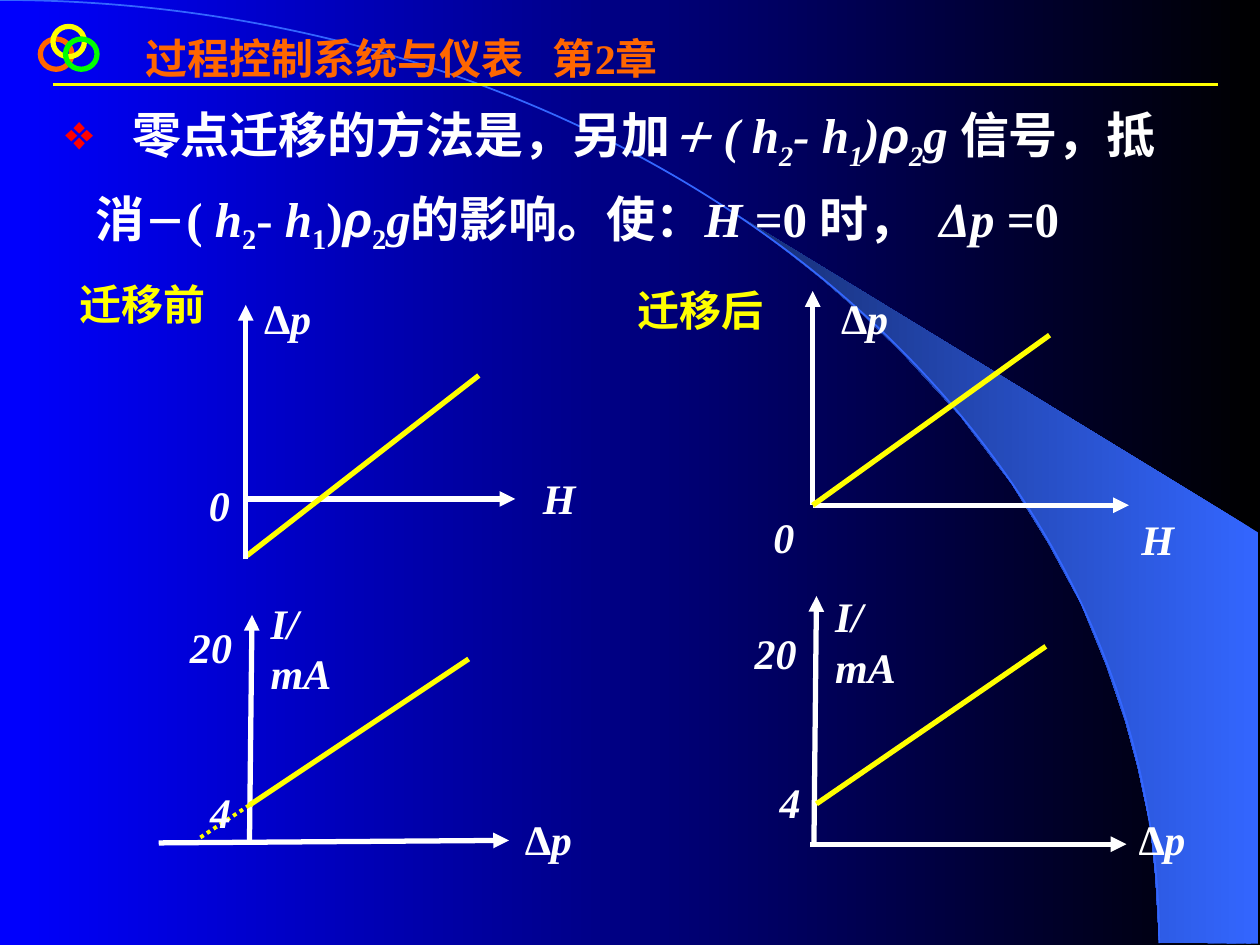
from dataclasses import dataclass

from lxml import etree
from pptx import Presentation
from pptx.dml.color import RGBColor
from pptx.enum.dml import MSO_LINE
from pptx.enum.shapes import MSO_CONNECTOR, MSO_SHAPE
from pptx.enum.text import MSO_AUTO_SIZE
from pptx.oxml.ns import qn
from pptx.util import Inches, Pt

ARC, OVAL = MSO_SHAPE.ARC, MSO_SHAPE.OVAL
STRAIGHT = MSO_CONNECTOR.STRAIGHT
DOTTED = MSO_LINE.ROUND_DOT
FIT_TEXT = MSO_AUTO_SIZE.SHAPE_TO_FIT_TEXT

BLACK = RGBColor(0x00, 0x00, 0x00)
BLUE = RGBColor(0x00, 0x00, 0xFF)
SKY = RGBColor(0x33, 0x66, 0xFF)
NAVY = RGBColor(0x17, 0x2F, 0x75)
WHITE = RGBColor(0xFF, 0xFF, 0xFF)
YELLOW = RGBColor(0xFF, 0xFF, 0x00)
ORANGE = RGBColor(0xFF, 0x66, 0x00)
GREEN = RGBColor(0x00, 0xFF, 0x00)
RED = RGBColor(0xFF, 0x00, 0x00)

SERIF = "Times New Roman"
LABEL_HEIGHT = 0.5
LABEL_WIDTHS = {"H": 0.46, "∆p": 0.57, "I/mA": 0.9, "0": 0.36, "4": 0.36, "20": 0.53}


@dataclass(frozen=True)
class Line:
    start: tuple[float, float]
    end: tuple[float, float]
    color: RGBColor = WHITE
    width: float = 3
    arrow: bool = False
    dotted: bool = False


@dataclass(frozen=True)
class Graph:
    lines: list[Line]
    labels: list[tuple[str, float, float]]


@dataclass(frozen=True)
class Span:
    text: str
    italic: bool = False
    size: float = 28
    font: str = SERIF
    subscript: bool = False


def axis(start: tuple[float, float], end: tuple[float, float]) -> Line:
    return Line(start, end, arrow=True)


def curve(start: tuple[float, float], end: tuple[float, float]) -> Line:
    return Line(start, end, YELLOW)


GRAPHS = [
    Graph([axis((6.45, 4.01), (8.96, 4.01)), axis((6.45, 4.01), (6.45, 2.31)),
           curve((6.45, 4.01), (8.33, 2.66))],
          [("H", 8.96, 4.03), ("∆p", 6.58, 2.27), ("0", 6.04, 4.01)]),
    Graph([axis((1.26, 6.69), (4.04, 6.67)), axis((1.98, 6.69), (2, 4.88)),
           curve((1.98, 6.39), (3.72, 5.23)),
           Line((1.98, 6.39), (1.57, 6.66), YELLOW, 2.25, dotted=True)],
          [("I/mA", 2.05, 4.69), ("∆p", 4.07, 6.41), ("4", 1.57, 6.19), ("20", 1.41, 4.88)]),
    Graph([axis((6.43, 6.7), (8.94, 6.7)), axis((6.46, 6.69), (6.48, 4.73)),
           curve((6.48, 6.38), (8.3, 5.13))],
          [("I/mA", 6.53, 4.64), ("∆p", 8.94, 6.41), ("4", 6.09, 6.11), ("20", 5.89, 4.93)]),
    Graph([axis((1.96, 3.96), (4.09, 3.96)), curve((1.96, 4.41), (3.8, 2.98)),
           axis((1.95, 4.44), (1.95, 2.42))],
          [("H", 4.21, 3.7), ("∆p", 2, 2.27), ("0", 1.56, 3.76)]),
]

METHOD = [
    Span("\t零点迁移的方法是，另加"), Span("＋", True, 24), Span(" ( h", True),
    Span("2", True, subscript=True), Span("- h", True), Span("1", True, subscript=True),
    Span(")", True), Span("ρ", True, font="Arial"), Span("2", True, subscript=True),
    Span("g ", True), Span("信号，抵消"), Span("－", size=24), Span("( "), Span("h", True),
    Span("2", subscript=True), Span("- "), Span("h", True), Span("1", subscript=True),
    Span(")"), Span("ρ", True, font="Arial"), Span("2", subscript=True), Span("g", True),
    Span("的影响。使："), Span("H ", True), Span("=0 时，  "), Span("Δp", True), Span(" =0"),
]

SWOOSH = [(9.2, 7.48), (9.99, 7.49), (9.99, 4.23), (5.89, 1.73), (6.24, 1.99), (6.53, 2.22),
          (6.85, 2.5), (7.16, 2.8), (7.62, 3.3), (8.03, 3.84), (8.32, 4.31), (8.58, 4.79),
          (8.78, 5.28), (8.93, 5.72), (9.03, 6.09), (9.13, 6.56), (9.17, 6.96)]


def set_gradient(fill, first: RGBColor, last: RGBColor) -> None:
    """Blend from first on the right to last on the left."""
    fill.gradient()
    fill.gradient_angle = 180
    for stop, color in zip(fill.gradient_stops, (first, last)):
        stop.color.rgb = color


def add_outline(shapes, kind, left, top, width, height, color: RGBColor, weight: float) -> None:
    shape = shapes.add_shape(kind, Inches(left), Inches(top), Inches(width), Inches(height))
    shape.shadow.inherit = False
    shape.fill.background()
    shape.line.color.rgb = color
    shape.line.width = Pt(weight)


def add_line(shapes, line: Line) -> None:
    connector = shapes.add_connector(STRAIGHT, *map(Inches, line.start + line.end))
    connector.line.color.rgb = line.color
    connector.line.width = Pt(line.width)
    if line.dotted:
        connector.line.dash_style = DOTTED
    properties = connector._element.spPr
    if line.arrow:
        etree.SubElement(properties.find(qn("a:ln")), qn("a:tailEnd"), type="triangle")
    etree.SubElement(properties, qn("a:effectLst"))


def add_box(shapes, left, top, width, height, wrap: bool = True):
    box = shapes.add_textbox(Inches(left), Inches(top), Inches(width), Inches(height))
    box.text_frame.word_wrap = wrap
    box.text_frame.auto_size = FIT_TEXT
    return box.text_frame


def set_font(font, size: float, color: RGBColor, italic: bool = False, name: str = SERIF) -> None:
    font.name, font.size, font.bold, font.italic = name, Pt(size), True, italic
    font.color.rgb = color


def add_tab(para, position: float) -> None:
    tabs = etree.SubElement(para._p.get_or_add_pPr(), qn("a:tabLst"))
    etree.SubElement(tabs, qn("a:tab"), pos=str(Inches(position)), algn="l")


def add_graph(page, graph: Graph) -> None:
    group = page.shapes.add_group_shape()
    for line in graph.lines:
        add_line(group.shapes, line)
    for text, left, top in graph.labels:
        frame = add_box(group.shapes, left, top, LABEL_WIDTHS[text], LABEL_HEIGHT, wrap=False)
        frame.text = text
        set_font(frame.paragraphs[0].runs[0].font, 24, WHITE, italic=True)


def add_backdrop(page) -> None:
    set_gradient(page.background.fill, BLACK, BLUE)
    points = [(Inches(x), Inches(y)) for x, y in SWOOSH]
    builder = page.shapes.build_freeform(*points[0])
    builder.add_line_segments(points[1:], close=True)
    swoosh = builder.convert_to_shape()
    swoosh.shadow.inherit = False
    set_gradient(swoosh.fill, SKY, NAVY)
    swoosh.line.fill.background()
    add_outline(page.shapes, ARC, -9.2, 0, 18.4, 14.97, SKY, 1)


def add_header(page) -> None:
    add_line(page.shapes, Line((0.42, 0.67), (9.67, 0.67), YELLOW, 1.5))
    frame = add_box(page.shapes, 1.06, 0.21, 4.49, 0.5)
    frame.text = "过程控制系统与仪表\t第2章"
    para = frame.paragraphs[0]
    add_tab(para, 3.23)
    set_font(para.runs[0].font, 24, ORANGE)
    for left, top, color in [(0.32, 0.31, ORANGE), (0.42, 0.21, YELLOW), (0.52, 0.31, GREEN)]:
        add_outline(page.shapes, OVAL, left, top, 0.25, 0.24, color, 3)


def add_method(page) -> None:
    para = add_box(page.shapes, 0.42, 0.65, 9.06, 1.43).paragraphs[0]
    para.line_spacing = 1.25
    properties = para._p.get_or_add_pPr()
    properties.set("marL", str(Inches(0.24)))
    properties.set("indent", str(Inches(-0.24)))
    bullet_color = etree.SubElement(properties, qn("a:buClr"))
    etree.SubElement(bullet_color, qn("a:srgbClr"), val=str(RED))
    etree.SubElement(properties, qn("a:buChar"), char="❖")
    add_tab(para, 0.53)
    for span in METHOD:
        run = para.add_run()
        run.text = span.text
        set_font(run.font, span.size, WHITE, span.italic, span.font)
        if span.subscript:
            run.font._element.set("baseline", "-25000")


def main() -> None:
    deck = Presentation()
    deck.slide_width, deck.slide_height = Inches(10), Inches(7.5)
    page = deck.slides.add_slide(deck.slide_layouts[6])
    add_backdrop(page)
    add_header(page)
    add_method(page)
    for graph in GRAPHS:
        add_graph(page, graph)
    for text, left, top in [("迁移前", 0.53, 2.08), ("迁移后", 4.96, 2.13)]:
        frame = add_box(page.shapes, left, top, 1.2, 0.58)
        frame.text = text
        frame.paragraphs[0].line_spacing = 1.2
        set_font(frame.paragraphs[0].runs[0].font, 24, YELLOW)
    deck.save("out.pptx")


if __name__ == "__main__":
    main()
